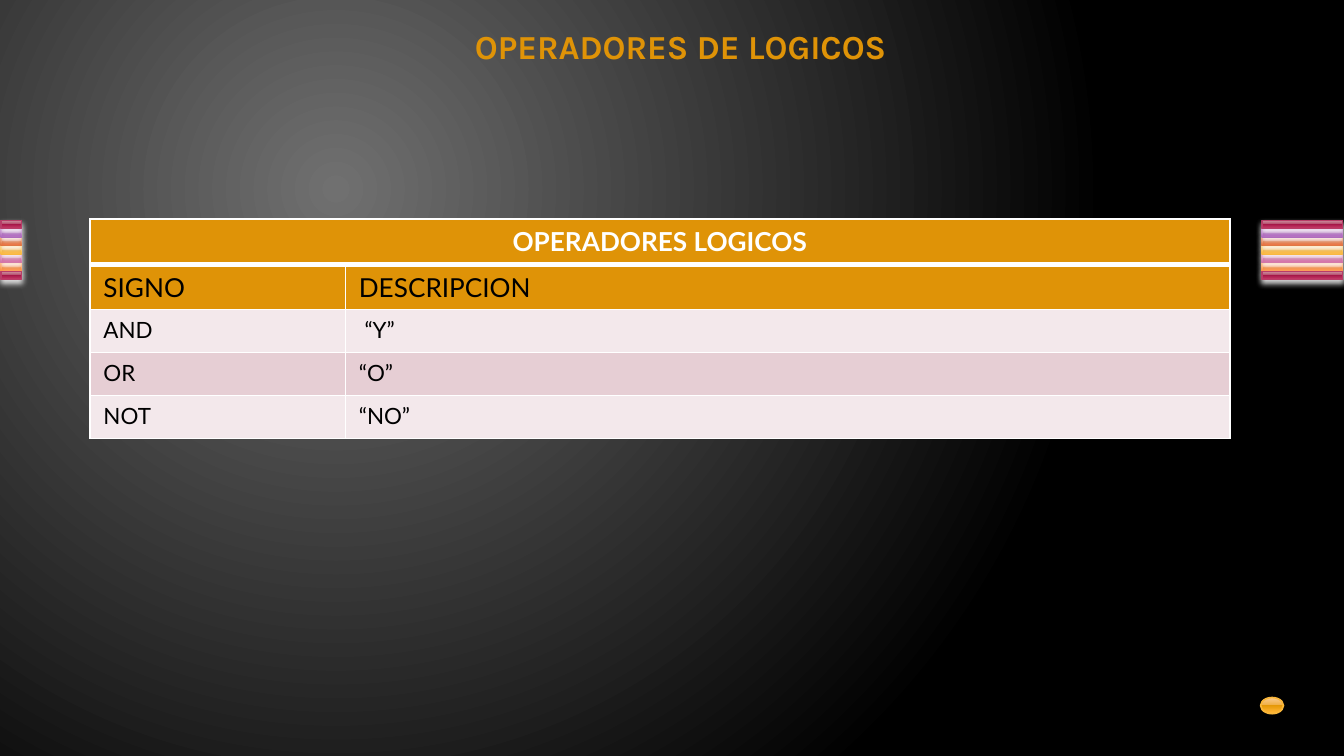
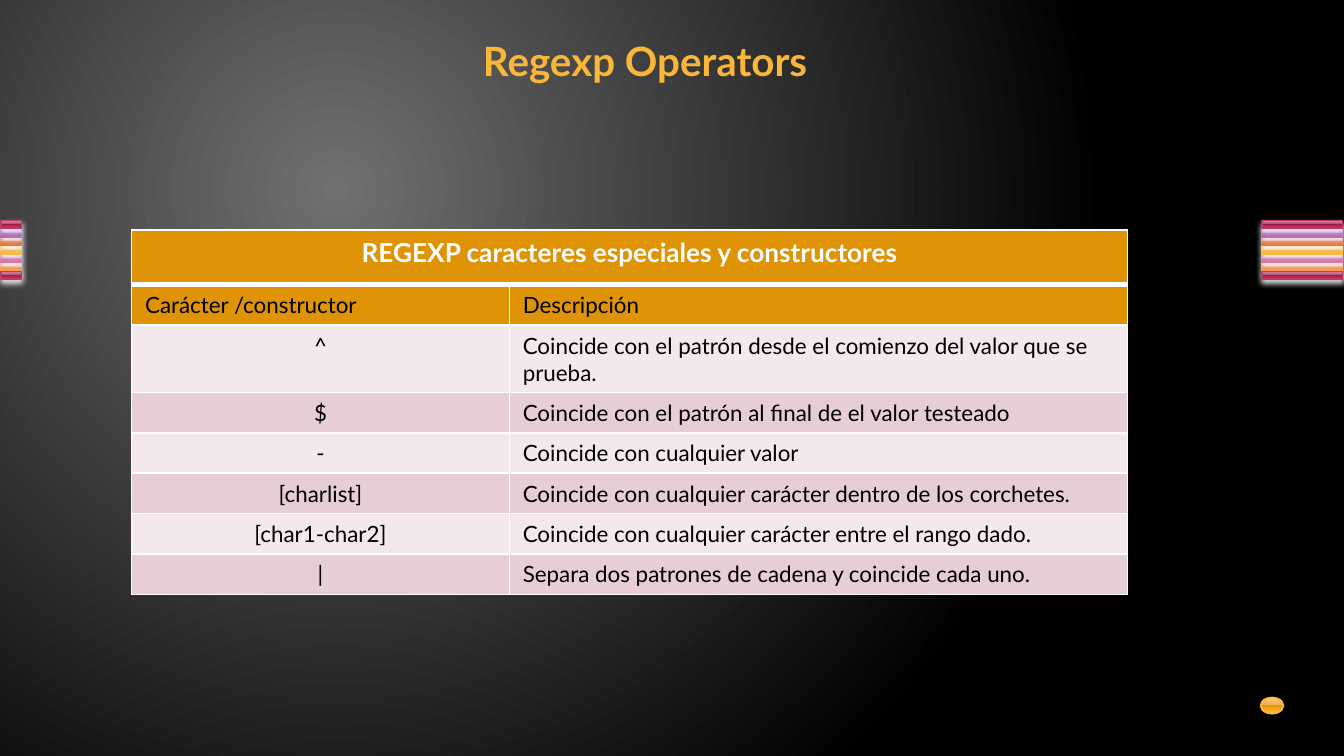
from lxml import etree
from pptx import Presentation
from pptx.dml.color import RGBColor
from pptx.enum import shapes, text
from pptx.oxml.ns import qn
from pptx.util import Inches, Pt

WHITE = RGBColor(0xFF, 0xFF, 0xFF)
BLACK = RGBColor(0x00, 0x00, 0x00)
GREY = RGBColor(0x70, 0x70, 0x70)
GOLD = RGBColor(0xDF, 0x93, 0x07)
LIGHT_GOLD = RGBColor(0xF9, 0xB6, 0x39)
PALE_ROSE = RGBColor(0xF3, 0xE8, 0xEB)
ROSE = RGBColor(0xE6, 0xCE, 0xD4)
ORANGE, PINK, AMBER, RUST, VIOLET, CRIMSON = [
    [RGBColor.from_string(code) for code in codes.split()]
    for codes in (
        "FBB494 F08745 E5670B FF8736 FF9961 FA8D3D",
        "DDA4C1 C66B9D B34181 D361A0 DC79AE CF6DA4",
        "FBCC93 EFAE43 E59807 FFB432 FFBE5F F9B639",
        "E7A493 D66B42 CC4809 E9642C F07B55 DE6C36",
        "C6A2D0 A666B4 8F3EA1 AD5DBF BA76CA AC66BB",
        "CE94A2 B34869 A61749 C13764 CA5D7C B83D68",
    )
]
GLOSS_STOPS = (0, 49, 49, 92, 100)
STRIPES = ((5, ORANGE), (4, PINK), (3, AMBER), (2, RUST), (1, VIOLET), (0, CRIMSON), (6, CRIMSON))
STRIPE_STEP = 0.38 / 6

SLIDES = [
    {
        "title": "OPERADORES DE LOGICOS",
        "title_box": (0.98, 0.14, 8.17, 0.39),
        "title_anchor": text.MSO_ANCHOR.TOP,
        "title_font": {"name": "Karla", "size": Pt(18), "bold": True},
        "title_color": GOLD,
        "table_at": (0.67, 1.63),
        "columns": (1.9, 6.58),
        "heights": (0.34, 0.33, 0.32, 0.32, 0.32),
        "heading_size": 14,
        "sign_align": text.PP_ALIGN.LEFT,
        "rows": [
            ("OPERADORES LOGICOS", ""),
            ("SIGNO", "DESCRIPCION"),
            ("AND", " “Y”"),
            ("OR", "“O”"),
            ("NOT", "“NO”"),
        ],
    },
    {
        "title": "Regexp Operators",
        "title_box": (0.59, 0.29, 8.42, 0.39),
        "title_anchor": text.MSO_ANCHOR.BOTTOM,
        "title_font": {"name": "Lato", "size": Pt(21.6), "bold": True},
        "title_color": LIGHT_GOLD,
        "table_at": (0.98, 1.71),
        "columns": (2.81, 4.6),
        "heights": (0.41, 0.3, 0.5, 0.3, 0.3, 0.3, 0.3, 0.3),
        "heading_size": 12,
        "sign_align": text.PP_ALIGN.CENTER,
        "rows": [
            ("REGEXP caracteres especiales y constructores", ""),
            ("Carácter /constructor", "Descripción"),
            ("^", "Coincide con el patrón desde el comienzo del valor que se prueba."),
            ("$", "Coincide con el patrón al final de el valor testeado"),
            ("-", "Coincide con cualquier valor"),
            ("[charlist]", "Coincide con cualquier carácter dentro de los corchetes."),
            ("[char1-char2]", "Coincide con cualquier carácter entre el rango dado."),
            ("|", "Separa dos patrones de cadena y coincide cada uno."),
        ],
    },
]


def add_color(parent, color):
    return etree.SubElement(parent, qn("a:srgbClr"), val=str(color))


def paint_gradient(fill, owner, positions, colors):
    fill.gradient()
    stops = owner.find(".//" + qn("a:gsLst"))
    for stop in list(stops):
        stops.remove(stop)
    for position, color in zip(positions, colors):
        add_color(etree.SubElement(stops, qn("a:gs"), pos=str(position * 1000)), color)
    return stops.getparent()


deck = Presentation()
deck.slide_width = Inches(10)
deck.slide_height = deck.slide_width * 9 // 16

for content in SLIDES:
    slide = deck.slides.add_slide(deck.slide_layouts[6])

    glow = paint_gradient(slide.background.fill, slide.element, (0, 100), (GREY, BLACK))
    glow.remove(glow.find(qn("a:lin")))
    circle = etree.SubElement(glow, qn("a:path"))
    circle.set("path", "circle")
    etree.SubElement(circle, qn("a:fillToRect"), l="50000", t="50000", r="100000", b="100000")

    ornaments = []
    for left, width in ((0.01, 0.15), (9.39, 0.6)):
        band = slide.shapes.add_group_shape()
        for level, colors in STRIPES:
            stripe = band.shapes.add_shape(
                shapes.MSO_SHAPE.RECTANGLE, Inches(left), Inches(1.64 + level * STRIPE_STEP),
                Inches(width), Inches(0.06))
            ornaments.append((stripe, colors, True))
    dot = slide.shapes.add_shape(
        shapes.MSO_SHAPE.OVAL, Inches(9.38), Inches(5.19), Inches(0.17), Inches(0.12))
    ornaments.append((dot, AMBER, False))

    for ornament, colors, has_halo in ornaments:
        paint_gradient(ornament.fill, ornament.element, GLOSS_STOPS, colors)
        ornament.fill.gradient_angle = 270
        ornament.line.color.rgb = colors[-1]
        ornament.line.width = Pt(0.9)
        ornament.shadow.inherit = False
        if has_halo:
            halo = etree.SubElement(
                ornament.element.find(".//" + qn("a:effectLst")), qn("a:outerShdw"),
                blurRad=str(Pt(3.1)), dist=str(Pt(2)), dir="5400000", rotWithShape="0")
            etree.SubElement(add_color(halo, WHITE), qn("a:alpha"), val="83000")

    title = slide.shapes.add_textbox(*map(Inches, content["title_box"])).text_frame
    title.word_wrap = True
    title.vertical_anchor = content["title_anchor"]
    heading = title.paragraphs[0]
    heading.text = content["title"]
    heading.alignment = text.PP_ALIGN.CENTER
    for key, value in content["title_font"].items():
        setattr(heading.font, key, value)
    heading.font.color.rgb = content["title_color"]

    rows, columns, heights = content["rows"], content["columns"], content["heights"]
    left, top = content["table_at"]
    operators = slide.shapes.add_table(
        len(rows), len(columns), Inches(left), Inches(top),
        Inches(sum(columns)), Inches(sum(heights))).table
    operators.first_row = operators.horz_banding = False
    for column, width in zip(operators.columns, columns):
        column.width = Inches(width)
    for row, height in zip(operators.rows, heights):
        row.height = Inches(height)
    operators.cell(0, 0).merge(operators.cell(0, 1))

    for r, entries in enumerate(rows):
        for c, entry in enumerate(entries):
            cell = operators.cell(r, c)
            cell.fill.solid()
            cell.fill.fore_color.rgb = GOLD if r < 2 else (PALE_ROSE, ROSE)[r % 2]
            line = cell.text_frame.paragraphs[0]
            line.text = entry
            if r == 0:
                line.alignment = text.PP_ALIGN.CENTER
            elif r > 1 and c == 0:
                line.alignment = content["sign_align"]
            size = (14, content["heading_size"])[r] if r < 2 else 12
            for key, value in {"name": "Lato", "size": Pt(size), "bold": r == 0}.items():
                setattr(line.font, key, value)
            line.font.color.rgb = WHITE if r == 0 else BLACK
            properties = cell.fill._xPr
            for order, side in enumerate("LRTB"):
                weight = 3 if (r, side) in ((0, "B"), (1, "T")) else 1
                border = etree.Element(qn("a:ln" + side), w=str(Pt(weight)))
                add_color(etree.SubElement(border, qn("a:solidFill")), WHITE)
                properties.insert(order, border)

deck.save("out.pptx")
